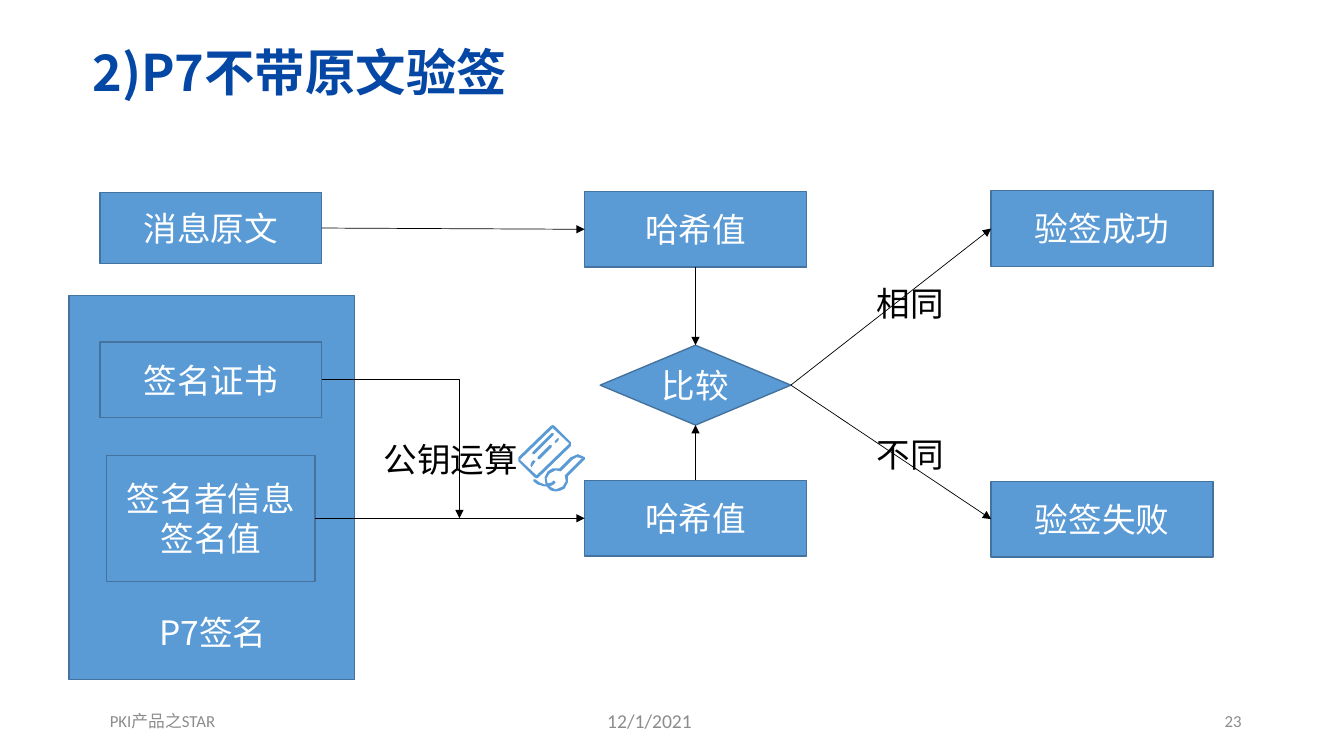
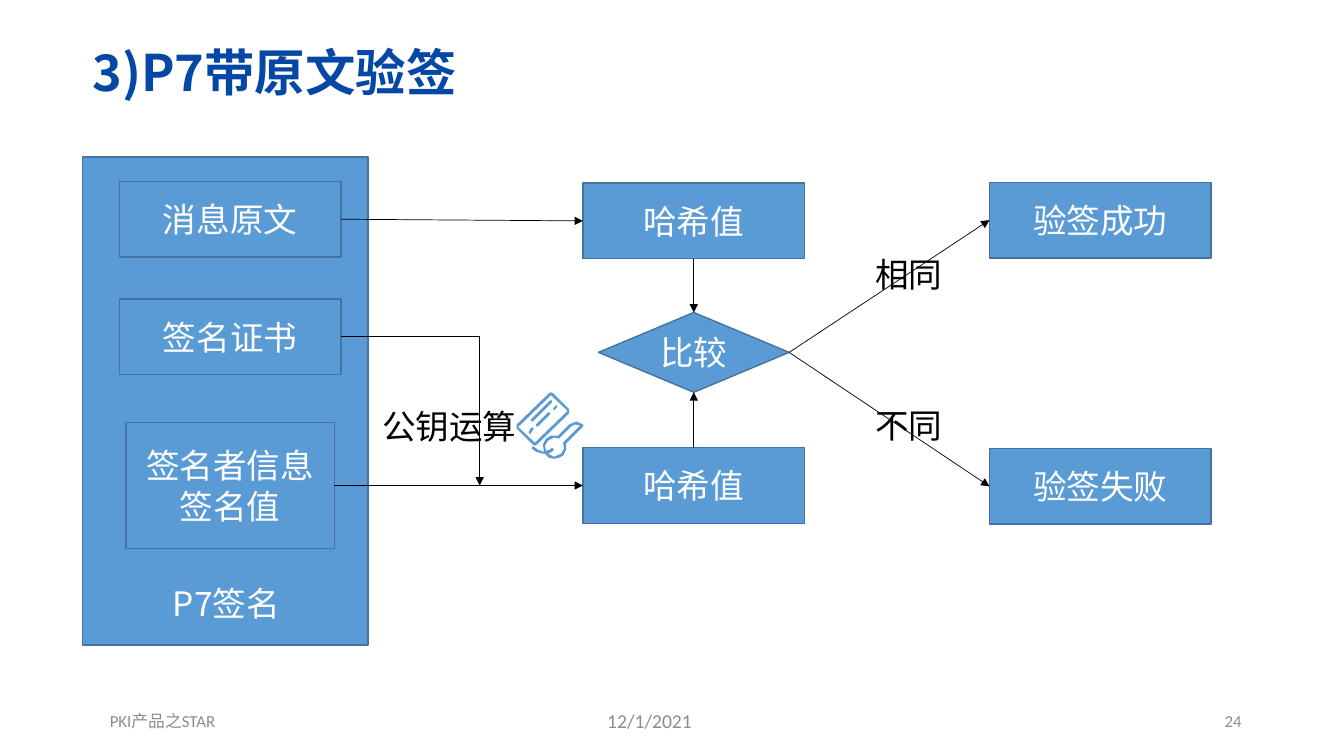
from pptx import Presentation
from pptx.dml.color import RGBColor
from pptx.enum.shapes import MSO_CONNECTOR, MSO_SHAPE
from pptx.enum.text import MSO_ANCHOR, MSO_AUTO_SIZE, PP_ALIGN
from pptx.oxml.ns import qn
from pptx.util import Inches, Pt
from lxml.etree import SubElement

# Grid: 160 columns by 90 rows, twelve to the inch
COLS, ROWS = 160, 90
UNIT = Inches(1) // 12

BLUE = RGBColor(0x5B, 0x9B, 0xD5)
EDGE = RGBColor(0x43, 0x73, 0x9E)
NAVY = RGBColor(0x05, 0x47, 0xA4)
GRAY = RGBColor(0x8C, 0x8C, 0x8C)
BLACK = RGBColor(0, 0, 0)
WHITE = RGBColor(0xFF, 0xFF, 0xFF)

HAN, LATIN = "Noto Sans CJK SC", "Calibri"
TOP, LEFT, BOTTOM, RIGHT = range(4)
WIDE, HIGH = 26.4, 9  # size of a flow box

# Outlines of the card and key icon, in hundredths of an inch
CARD = [
    [(35, 0), (37, 1), (53, 17), (53, 21), (21, 52), (19, 53), (17, 52),
     (1, 36), (1, 32), (33, 1)],
    [(35, 3), (3, 34), (3, 35), (19, 50), (51, 19), (51, 18)],
    [(34, 8), (36, 8), (36, 10), (17, 29), (15, 29), (15, 27)],
    [(40, 13), (41, 13), (41, 15), (38, 18), (37, 16)],
    [(32, 20), (34, 20), (34, 22), (22, 34), (20, 34), (20, 32)],
    [(16, 35), (18, 36), (16, 39), (14, 42), (13, 40), (14, 37)],
]
KEY = [
    [(60, 29), (67, 32), (67, 34), (50, 51), (50, 57), (47, 63), (43, 65),
     (38, 66), (33, 65), (29, 61), (27, 61), (20, 59), (16, 56), (16, 54),
     (18, 54), (22, 57), (27, 59), (28, 59), (27, 52), (30, 46), (35, 43),
     (42, 43), (53, 32)],
    [(59, 32), (55, 34), (43, 46), (38, 45), (32, 48), (29, 53), (30, 58),
     (34, 57), (36, 55), (38, 57), (36, 59), (32, 61), (38, 64), (45, 61),
     (48, 56), (47, 50), (64, 33)],
]


def grid(*cells):
    return [round(cell * UNIT) for cell in cells]


class Deck:
    def __init__(self):
        self.prs = Presentation()
        self.prs.slide_width, self.prs.slide_height = grid(COLS, ROWS)
        self.slide = None

    @property
    def shapes(self):
        return self.slide.shapes

    def fill_text(self, shape, text, size, color, face=HAN,
                  align=PP_ALIGN.LEFT, bold=False):
        frame = shape.text_frame
        frame.text = text
        frame.word_wrap = True
        frame.auto_size = MSO_AUTO_SIZE.NONE
        frame.vertical_anchor = MSO_ANCHOR.MIDDLE
        for para in frame.paragraphs:
            para.alignment = align
            font = para.font
            font.size, font.bold, font.name = Pt(size), bold, face
            font.color.rgb = color
            SubElement(font._rPr, qn("a:ea"), typeface=HAN)
        return frame

    def page(self, title, number):
        """Add a slide with its title and footers."""
        self.slide = self.prs.slides.add_slide(self.prs.slide_layouts[5])
        head = self.shapes.title
        head.left, head.top, head.width, head.height = grid(9.8, 5.9, 132, 6.2)
        frame = self.fill_text(head, title, 36, NAVY, bold=True)
        frame.paragraphs[0].line_spacing = 0.9
        for x, wide, text, size, align in (
                (71.1, 14.2, "12/1/2021", 14, PP_ALIGN.LEFT),
                (9.8, 19.1, "PKI产品之STAR", 12, PP_ALIGN.CENTER),
                (113, 36, str(number), 12, PP_ALIGN.RIGHT)):
            foot = self.shapes.add_textbox(*grid(x, 83.4, wide, 4.8))
            self.fill_text(foot, text, size, GRAY, LATIN, align)

    def box(self, x, y, wide=WIDE, high=HIGH, text="", face=HAN,
            kind=MSO_SHAPE.RECTANGLE):
        shape = self.shapes.add_shape(kind, *grid(x, y, wide, high))
        shape.shadow.inherit = False
        shape.fill.solid()
        shape.fill.fore_color.rgb = BLUE
        shape.line.color.rgb = EDGE
        shape.line.width = Pt(1)
        if text:
            self.fill_text(shape, text, 24, WHITE, face, PP_ALIGN.CENTER)
        return shape

    def label(self, x, y, wide, high, text, color=BLACK):
        shape = self.shapes.add_textbox(*grid(x, y, wide, high))
        self.fill_text(shape, text, 24, color).margin_right = 0

    def icon(self, x, y):
        loops = CARD + KEY
        pen = self.shapes.build_freeform(*loops[0][0], scale=Inches(0.01))
        for loop in loops:
            pen.move_to(*loop[0])
            pen.add_line_segments(loop[1:], close=True)
        shape = pen.convert_to_shape(*grid(x, y))
        shape.shadow.inherit = False
        shape.fill.solid()
        shape.fill.fore_color.rgb = BLUE
        shape.line.fill.background()

    def wire(self, kind, start, side, end=(0, 0)):
        """Start an arrow at one side of a shape."""
        line = self.shapes.add_connector(kind, 0, 0, *grid(*end))
        line.begin_connect(start, side)
        line.line.color.rgb = BLACK
        line.line.width = Pt(0.5)
        SubElement(line.line._get_or_add_ln(), qn("a:tailEnd"), type="triangle")
        SubElement(line._element.spPr, qn("a:effectLst"))
        return line

    def arrow(self, start, side, end, into):
        self.wire(MSO_CONNECTOR.STRAIGHT, start, side).end_connect(end, into)

    def elbow(self, start, x, y):
        """Go right from a shape, then down to a point."""
        line = self.wire(MSO_CONNECTOR.ELBOW, start, RIGHT, (x, y))
        line._element.spPr.find(qn("a:prstGeom")).set("prst", "bentConnector2")

    def flow(self, pack, name, plain, cert, bend, left, top, low, says):
        """Draw the check: signed pack, two hashes, and the two outcomes."""
        self.box(*pack)
        source = self.box(*plain, text="消息原文")
        proof = self.box(*cert, text="签名证书")
        signer = self.box(cert[0] + 0.8, low - 3, WIDE - 1.6, 15,
                          "签名者信息\n签名值")
        self.label(pack[0] + 9.6, name, 23.4, HIGH, "P7签名", WHITE)
        self.label(left - 25.1, low - 8.6, 17.9, 12, "公钥运算")
        self.icon(left - 8, low - 6.6)

        upper = self.box(left, top, text="哈希值")
        lower = self.box(left, low, text="哈希值")
        wide = 22.7
        test = self.box(left + (WIDE - wide) / 2, low - 16.1, wide, 9.5,
                        "比较", LATIN, MSO_SHAPE.DIAMOND)
        self.arrow(source, RIGHT, upper, LEFT)
        self.arrow(signer, RIGHT, lower, LEFT)
        self.elbow(proof, bend, low + HIGH / 2)
        self.arrow(upper, BOTTOM, test, TOP)
        self.arrow(lower, TOP, test, BOTTOM)

        for y, text, hint, at in ((top - 0.1, "验签成功", "相同", says),
                                  (low + 0.1, "验签失败", "不同", says + 18)):
            end = self.box(left + 48.4, y, text=text)
            self.arrow(test, RIGHT, end, LEFT)
            self.label(left + 33.6, at, 12, 12, hint)


def main():
    deck = Deck()
    deck.page("2)P7不带原文验签", 23)
    deck.flow(pack=(8.2, 35.2, 34, 45.7), name=70.7,
              plain=(11.9, 22.9, WIDE, 8.5), cert=(11.9, 40.7), bend=54.7,
              left=69.6, top=22.8, low=57.2, says=30.1)
    deck.page("3)P7带原文验签", 24)
    deck.flow(pack=(9.8, 18.7, 34, 58.1), name=67.3,
              plain=(14.2, 21.6), cert=(14.2, 35.6), bend=57.1,
              left=69.4, top=21.8, low=53.3, says=26.6)
    deck.prs.save("out.pptx")


if __name__ == "__main__":
    main()
